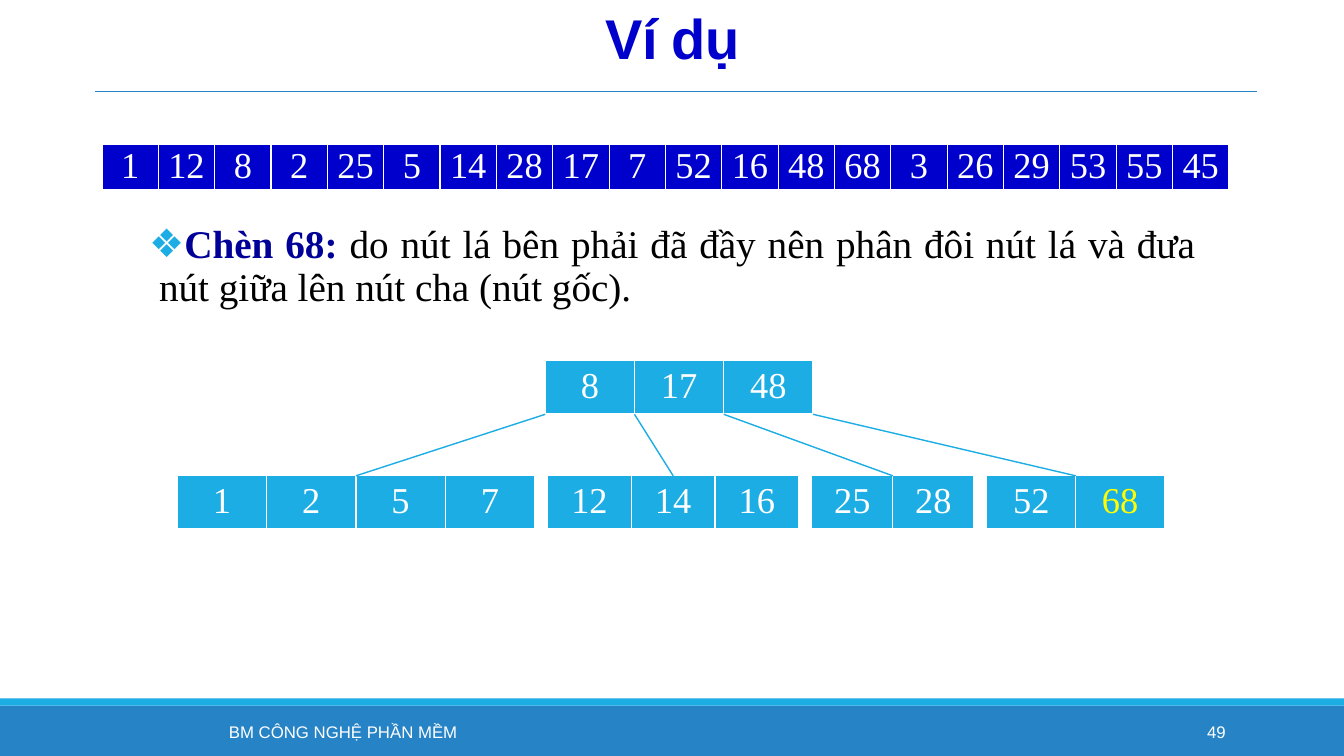
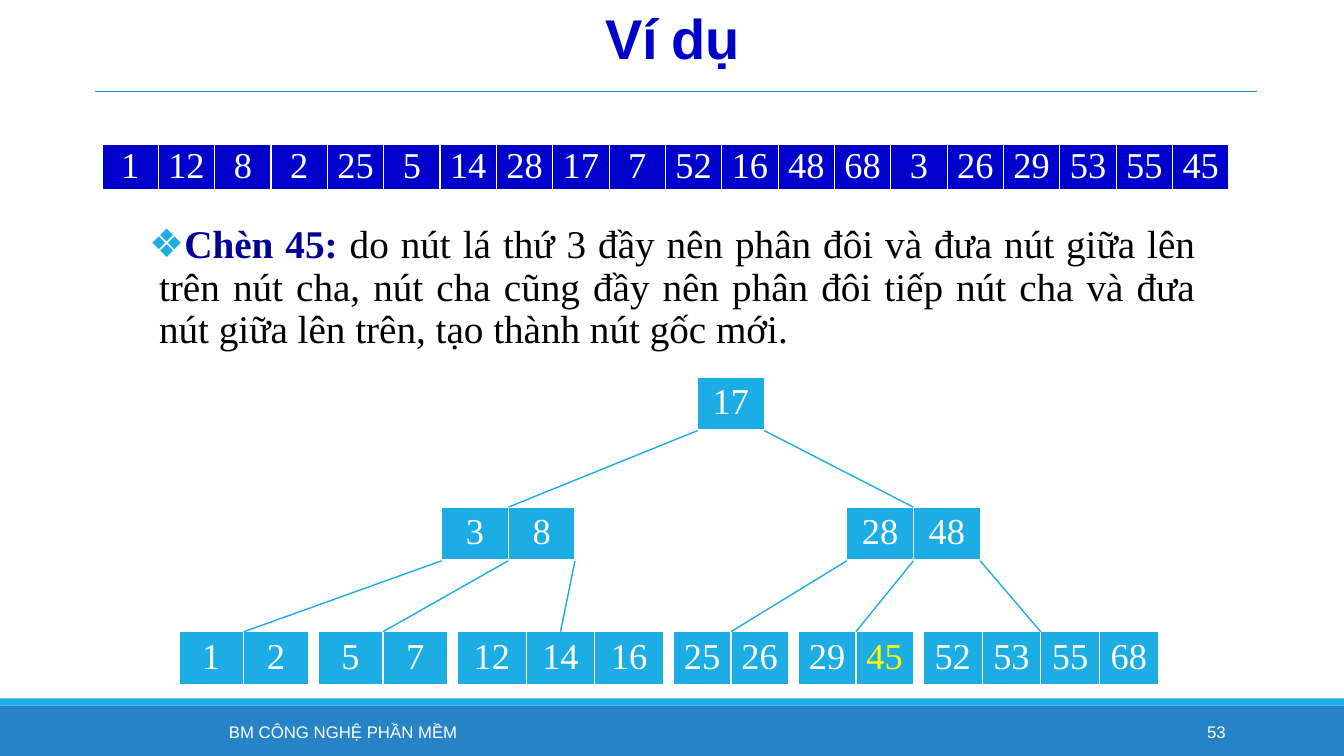
from lxml.etree import SubElement
from pptx import Presentation
from pptx.dml.color import RGBColor
from pptx.enum.shapes import MSO_CONNECTOR as CONNECTOR, MSO_SHAPE as SHAPE
from pptx.enum.text import MSO_ANCHOR as ANCHOR, MSO_AUTO_SIZE as AUTO_SIZE, PP_ALIGN as ALIGN
from pptx.oxml.ns import qn
from pptx.util import Cm, Pt

rgb = RGBColor.from_string
BLUE, SKY, NAVY, DEEP_BLUE = "2683C6", "1CADE4", "000099", "0000CC"
WHITE, BLACK, YELLOW = "FFFFFF", "000000", "FFFF00"
SANS, SERIF = "Arial", "Times New Roman"
SLIDE_WIDTH, SLIDE_HEIGHT = 33.87, 19.05
NODE_HEIGHT = 1.35
BORDERS = {"a:lnL": 1, "a:lnR": 1, "a:lnT": 1, "a:lnB": 3}

INPUT_KEYS = [1, 12, 8, 2, 25, 5, 14, 28, 17, 7, 52, 16, 48, 68, 3, 26, 29, 53, 55, 45]

# Each level of a tree: top, left, gap between nodes, nodes as (key width, keys)
EXAMPLES = [
    {
        "page": "49",
        "inserted": 68,
        "body_height": 2.41,
        "explanation": "do nút lá bên phải đã đầy nên phân đôi nút lá và đưa "
                       "nút giữa lên nút cha (nút gốc).",
        "levels": [
            (9.09, 13.74, 0, [(2.25, [8, 17, 48])]),
            (11.99, 4.47, 0.33, [(2.25, [1, 2, 5, 7]), (2.11, [12, 14, 16]),
                                 (2.04, [25, 28]), (2.24, [52, 68])]),
        ],
    },
    {
        "page": "53",
        "inserted": 45,
        "body_height": 3.48,
        "explanation": "do nút lá thứ 3 đầy nên phân đôi và đưa nút giữa lên "
                       "trên nút cha, nút cha cũng đầy nên phân đôi tiếp nút cha và đưa "
                       "nút giữa lên trên, tạo thành nút gốc mới.",
        "levels": [
            (9.5, 17.58, 0, [(1.68, [17])]),
            (12.78, 11.13, 6.85, [(1.68, [3, 8]), (1.68, [28, 48])]),
            (15.92, 4.51, 0.25, [(1.63, [1, 2]), (1.63, [5, 7]), (1.73, [12, 14, 16]),
                                 (1.45, [25, 26]), (1.45, [29, 45]),
                                 (1.48, [52, 53, 55, 68])]),
        ],
    },
]


def add_run(paragraph, text, font_name, size, color, bold=False):
    run = paragraph.add_run()
    run.text = text
    run.font.name = font_name
    run.font.size = Pt(size)
    run.font.bold = bold
    run.font.color.rgb = rgb(color)
    return run


def add_key_row(slide, left, top, key_width, height, keys, fill, highlighted=None):
    """Add a one-row table of keys and return its cells."""
    frame = slide.shapes.add_table(1, len(keys), Cm(left), Cm(top),
                                   Cm(key_width * len(keys)), Cm(height))
    table = frame.table
    table.first_row = table.horz_banding = False
    for column, key in enumerate(keys):
        table.columns[column].width = Cm(key_width)
        cell = table.cell(0, column)
        properties = cell._tc.get_or_add_tcPr()
        for tag, points in BORDERS.items():
            border = SubElement(properties, qn(tag), w=str(Pt(points)))
            border_fill = SubElement(border, qn("a:solidFill"))
            SubElement(border_fill, qn("a:srgbClr"), val=WHITE)
        cell.fill.solid()
        cell.fill.fore_color.rgb = rgb(fill)
        paragraph = cell.text_frame.paragraphs[0]
        paragraph.alignment = ALIGN.CENTER
        add_run(paragraph, str(key), SERIF, 26, YELLOW if key == highlighted else WHITE)
    return [table.cell(0, column) for column in range(len(keys))]


presentation = Presentation()
presentation.slide_width = Cm(SLIDE_WIDTH)
presentation.slide_height = Cm(SLIDE_HEIGHT)

for example in EXAMPLES:
    slide = presentation.slides.add_slide(presentation.slide_layouts[1])

    # Footer bands and their text
    for top, height, color in [(17.78, 1.27, BLUE), (17.6, 0.18, SKY)]:
        band = slide.shapes.add_shape(SHAPE.RECTANGLE, 0, Cm(top), Cm(SLIDE_WIDTH), Cm(height))
        band.shadow.inherit = False
        band.fill.solid()
        band.fill.fore_color.rgb = rgb(color)
        band.line.fill.background()

    for left, width, alignment, text in [
        (3.05, 11.2, ALIGN.CENTER, "BM CÔNG NGHỆ PHẦN MỀM"),
        (27.51, 3.63, ALIGN.RIGHT, example["page"]),
    ]:
        footer = slide.shapes.add_textbox(Cm(left), Cm(17.93), Cm(width), Cm(1.02)).text_frame
        footer.word_wrap = True
        footer.vertical_anchor = ANCHOR.MIDDLE
        footer.paragraphs[0].alignment = alignment
        add_run(footer.paragraphs[0], text, SANS, 12, WHITE)

    # Title
    title = slide.shapes.title
    title.left, title.top, title.width, title.height = Cm(2.16), Cm(0.1), Cm(29.57), Cm(1.96)
    title.text_frame.auto_size = AUTO_SIZE.NONE
    title.text_frame.vertical_anchor = ANCHOR.MIDDLE
    paragraph = title.text_frame.paragraphs[0]
    paragraph.alignment = ALIGN.CENTER
    paragraph.line_spacing = 0.85
    title_run = add_run(paragraph, "Ví dụ", SANS, 40, DEEP_BLUE, bold=True)
    title_run.font._element.set("spc", "-50")

    # Explanation of the insertion
    body = slide.placeholders[1]
    body.left, body.top, body.width = Cm(3.76), Cm(5.54), Cm(26.37)
    body.height = Cm(example["body_height"])
    body.text_frame.auto_size = AUTO_SIZE.NONE
    body.text_frame.vertical_anchor = ANCHOR.TOP
    body.text_frame.margin_left = body.text_frame.margin_right = 0
    paragraph = body.text_frame.paragraphs[0]
    paragraph.alignment = ALIGN.JUSTIFY
    paragraph.line_spacing = 0.9
    paragraph.space_before, paragraph.space_after = Pt(12), Pt(2)
    properties = paragraph._p.get_or_add_pPr()
    properties.set("marL", str(Cm(0.25)))
    properties.set("indent", str(Cm(-0.25)))
    bullet_color = SubElement(properties, qn("a:buClr"))
    SubElement(bullet_color, qn("a:srgbClr"), val=SKY)
    SubElement(properties, qn("a:buChar"), char="❖")
    add_run(paragraph, f"Chèn {example['inserted']}: ", SERIF, 28, NAVY, bold=True)
    add_run(paragraph, example["explanation"], SERIF, 28, BLACK)

    # Input sequence
    for cell in add_key_row(slide, 2.57, 3.63, 1.42, 1.19, INPUT_KEYS, DEEP_BLUE):
        cell.vertical_anchor = ANCHOR.MIDDLE
        cell.margin_left = cell.margin_right = Cm(0.15)
        cell.margin_top = cell.margin_bottom = 0
        cell.text_frame.paragraphs[0].line_spacing = 0.9
        cell.text_frame.paragraphs[0].space_before = Pt(11.5)

    # Tree: the gaps around a node's keys lead, in order, to the nodes one level down
    lines = [(2.39, 2.29, 31.67, 2.29, BLUE, 0.5)]
    branch_starts = []
    for top, left, gap, nodes in example["levels"]:
        next_starts = []
        for index, (key_width, keys) in enumerate(nodes):
            add_key_row(slide, left, top, key_width, NODE_HEIGHT, keys, SKY, example["inserted"])
            node_width = key_width * len(keys)
            if branch_starts:
                lines.append((*branch_starts[index], left + node_width / 2, top, SKY, 1))
            next_starts += [(left + slot * key_width, top + NODE_HEIGHT)
                            for slot in range(len(keys) + 1)]
            left += node_width + gap
        branch_starts = next_starts

    for start_x, start_y, end_x, end_y, color, points in lines:
        line = slide.shapes.add_connector(CONNECTOR.STRAIGHT, Cm(start_x), Cm(start_y),
                                          Cm(end_x), Cm(end_y))
        line.line.color.rgb = rgb(color)
        line.line.width = Pt(points)
        SubElement(line._element.spPr, qn("a:effectLst"))

presentation.save("out.pptx")
